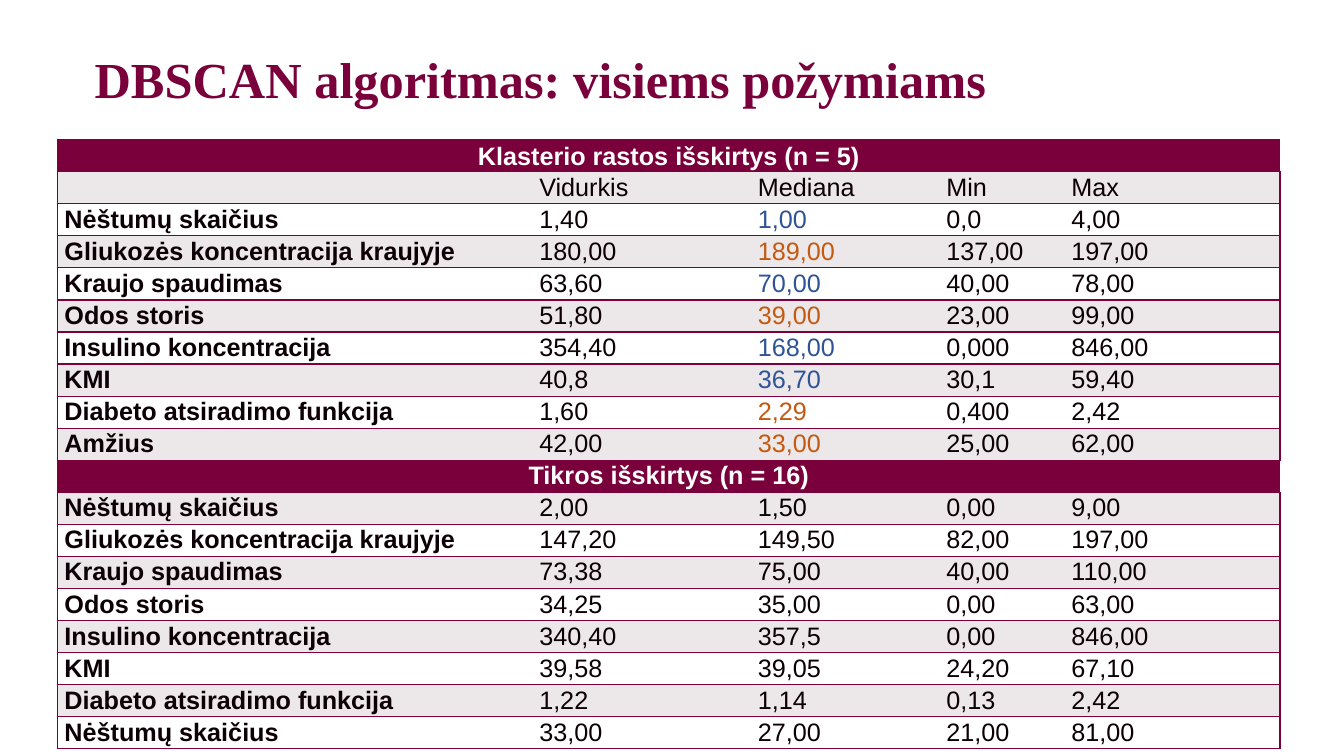
import pptx
import pptx.dml.color
import pptx.enum.text
import pptx.oxml
import pptx.oxml.ns
import pptx.util

COLORS = {
    "maroon": "7A003B",
    "grey": "ECE7E8",
    "white": "FFFFFF",
    "heading": "FEFFFE",
    "ink": "0C0006",
    "blue": "2F5496",
    "orange": "C45911",
}
ALIGN = pptx.enum.text.PP_ALIGN
ANCHOR = pptx.enum.text.MSO_ANCHOR

# Grid of ten columns and ten rows to the inch
SLIDE = (133.33, 75)
TITLE_BOX = (8.4, 5, 99, 9.7)
TABLE_AT = (5.7, 13.85)
COLUMNS = (47.1, 21.7, 18.7, 12.4, 21.4)
ROW = 3.12

TITLE = "DBSCAN algoritmas: visiems požymiams"
PREGNANCIES, GLUCOSE, PRESSURE, SKIN, INSULIN, BMI, PEDIGREE = (
    "Nėštumų skaičius", "Gliukozės koncentracija kraujyje",
    "Kraujo spaudimas", "Odos storis", "Insulino koncentracija", "KMI",
    "Diabeto atsiradimo funkcija")

# One-entry rows are full-width headings
ROWS = [
    ("Klasterio rastos išskirtys (n = 5)",),
    ("", "Vidurkis", "Mediana", "Min", "Max"),
    (PREGNANCIES, "1,40", "1,00", "0,0", "4,00"),
    (GLUCOSE, "180,00", "189,00", "137,00", "197,00"),
    (PRESSURE, "63,60", "70,00", "40,00", "78,00"),
    (SKIN, "51,80", "39,00", "23,00", "99,00"),
    (INSULIN, "354,40", "168,00", "0,000", "846,00"),
    (BMI, "40,8", "36,70", "30,1", "59,40"),
    (PEDIGREE, "1,60", "2,29", "0,400", "2,42"),
    ("Amžius", "42,00", "33,00", "25,00", "62,00"),
    ("Tikros išskirtys (n = 16)",),
    (PREGNANCIES, "2,00", "1,50", "0,00", "9,00"),
    (GLUCOSE, "147,20", "149,50", "82,00", "197,00"),
    (PRESSURE, "73,38", "75,00", "40,00", "110,00"),
    (SKIN, "34,25", "35,00", "0,00", "63,00"),
    (INSULIN, "340,40", "357,5", "0,00", "846,00"),
    (BMI, "39,58", "39,05", "24,20", "67,10"),
    (PEDIGREE, "1,22", "1,14", "0,13", "2,42"),
    (PREGNANCIES, "33,00", "27,00", "21,00", "81,00"),
]
# Colours of the medians in the first section, by table row
MEDIAN_COLORS = dict(enumerate(
    ("blue", "orange", "blue", "orange", "blue", "blue", "orange", "orange"),
    start=2))


def grid(n):
    return pptx.util.Inches(n / 10)


def rgb(name):
    return pptx.dml.color.RGBColor.from_string(COLORS[name])


def add_run(p, text, font, size, color, bold):
    r = p.add_run()
    r.text = text
    r.font.name = font
    r.font.size = pptx.util.Pt(size)
    r.font.bold = bold
    r.font.color.rgb = rgb(color)


def add_title(s):
    tf = s.shapes.add_textbox(*map(grid, TITLE_BOX)).text_frame
    tf.word_wrap = True
    p = tf.paragraphs[0]
    p.line_spacing = 0.9
    add_run(p, TITLE, "Times New Roman", 36, "maroon", True)


def set_borders(cell, sides):
    """Draw 1 pt lines on the given sides and none on the others."""
    tcPr = cell._tc.get_or_add_tcPr()
    for i, side in enumerate("LRTB"):
        fill = (f'<a:solidFill><a:srgbClr val="{COLORS["maroon"]}"/></a:solidFill>'
                if side in sides else "<a:noFill/>")
        tcPr.insert(i, pptx.oxml.parse_xml(
            f'<a:ln{side} {pptx.oxml.ns.nsdecls("a")} w="12700">{fill}</a:ln{side}>'))


def write_cell(cell, text, color, bold, align):
    cell.margin_left = cell.margin_right = pptx.util.Inches(0.07)
    cell.margin_top = cell.margin_bottom = 0
    p = cell.text_frame.paragraphs[0]
    pPr = p._p.get_or_add_pPr()
    hanging = pptx.util.Inches(0.01)
    pPr.set("marL", str(hanging))
    pPr.set("indent", str(-hanging))
    p.alignment = align
    p.line_spacing = 1.06
    if text:
        add_run(p, text, "Arial", 18, color, bold)


def fill_row(table, i, values):
    heading = len(values) == 1
    background = "maroon" if heading else "grey" if i % 2 else "white"
    last = len(COLUMNS) - 1
    for j in range(len(COLUMNS)):
        cell = table.cell(i, j)
        cell.fill.solid()
        cell.fill.fore_color.rgb = rgb(background)
        set_borders(cell, "TB" + "L" * (j == 0) + "R" * (j == last))
    if heading:
        cell = table.cell(i, 0)
        cell.merge(table.cell(i, last))
        if i == 0:
            cell.vertical_anchor = ANCHOR.MIDDLE
        write_cell(cell, values[0], "heading", True, ALIGN.CENTER)
        return
    for j, text in enumerate(values):
        color = MEDIAN_COLORS.get(i, "ink") if j == 2 else "ink"
        write_cell(table.cell(i, j), text, color, j == 0, ALIGN.JUSTIFY)


def add_outlier_table(s):
    size = (sum(COLUMNS), ROW * len(ROWS))
    table = s.shapes.add_table(len(ROWS), len(COLUMNS),
                               *map(grid, TABLE_AT + size)).table
    table.first_row = table.horz_banding = False
    for column, width in zip(table.columns, COLUMNS):
        column.width = grid(width)
    for i, values in enumerate(ROWS):
        table.rows[i].height = grid(ROW)
        fill_row(table, i, values)


def main():
    prs = pptx.Presentation()
    prs.slide_width, prs.slide_height = map(grid, SLIDE)
    s = prs.slides.add_slide(prs.slide_layouts[6])
    add_title(s)
    add_outlier_table(s)
    prs.save("out.pptx")


if __name__ == "__main__":
    main()
